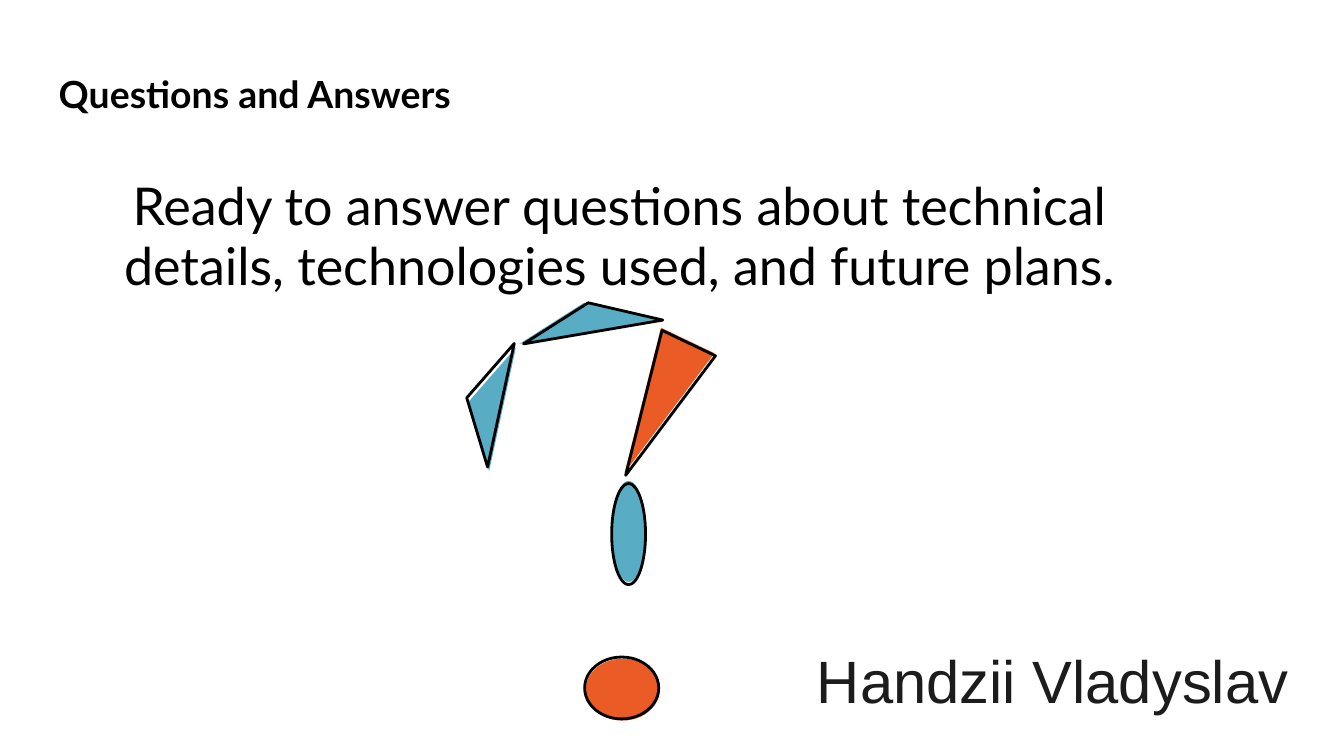
from pptx import Presentation
from pptx import util as u
from pptx.dml.color import RGBColor
from pptx.enum import shapes, text

BLACK = RGBColor(0x00, 0x00, 0x00)
INK = RGBColor(0x1C, 0x1C, 0x1C)
ORANGE = RGBColor(0xEA, 0x5B, 0x25)
TEAL = RGBColor(0x58, 0xAD, 0xC5)
OVAL = shapes.MSO_SHAPE.OVAL
TRIANGLE = shapes.MSO_SHAPE.ISOSCELES_TRIANGLE


def write(sp, words, left, top, width, height, size, inset=0.25, font="Lato",
          color=BLACK, bold=False, align=text.PP_ALIGN.LEFT,
          anchor=text.MSO_ANCHOR.TOP, spacing=1.0, before=0):
    """Place a text shape and fill it with one formatted paragraph."""
    sp.left, sp.top, sp.width, sp.height = map(u.Cm, (left, top, width, height))
    tf = sp.text_frame
    tf.word_wrap = True
    tf.auto_size = text.MSO_AUTO_SIZE.NONE
    tf.vertical_anchor = anchor
    tf.margin_left = tf.margin_right = u.Cm(0.25)
    tf.margin_top = tf.margin_bottom = u.Cm(inset)
    p = tf.paragraphs[0]
    p.alignment, p.line_spacing = align, spacing
    p.space_before, p.space_after = u.Pt(before), u.Pt(0)
    r = p.add_run()
    r.text = words
    r.font.name, r.font.size, r.font.bold = font, u.Pt(size), bold
    r.font.color.rgb = color
    return p


prs = Presentation()
prs.slide_width, prs.slide_height = u.Cm(25.4), u.Cm(14.29)
s = prs.slides.add_slide(prs.slide_layouts[1])

# Title
write(s.shapes.title, "Questions and Answers", 0.86, 0.97, 22.63, 1.6, 20,
      bold=True, anchor=text.MSO_ANCHOR.MIDDLE)

# Body, without a bullet
p = write(s.placeholders[1],
          "Ready to answer questions about technical details, "
          "technologies used, and future plans.",
          0.76, 3.12, 21.59, 2.79, 27.9,
          align=text.PP_ALIGN.CENTER, spacing=0.95)
pPr = p._p.get_or_add_pPr()
pPr.set("marL", str(u.Cm(0.3)))
pPr.set("indent", "0")
pPr.insert_element_before(pPr.makeelement(
    "{http://schemas.openxmlformats.org/drawingml/2006/main}buNone"),
    "a:tabLst", "a:defRPr", "a:extLst")

# Question mark: each stroke is a colour patch under a slightly shifted outline
strokes = [
    # preset, colour, size, rotation, patch position, outline position
    (OVAL, ORANGE, (1.4, 1.17), 0, (11.07, 12.45), (11.05, 12.42)),
    (OVAL, TEAL, (0.64, 1.91), 180, (11.56, 9.09), (11.56, 9.14)),
    (TRIANGLE, ORANGE, (1.12, 2.77), 205.5, (11.84, 6.3), (11.86, 6.35)),
    (TRIANGLE, TEAL, (2.39, 0.66), 282.2, (7.98, 7.34), (7.95, 7.26)),
    (TRIANGLE, TEAL, (2.67, 0.56), 350.3, (9.75, 5.72), (9.83, 5.72)),
]
for preset, color, size, rotation, patch_at, outline_at in strokes:
    group = s.shapes.add_group_shape()
    patch, outline = [group.shapes.add_shape(preset, *map(u.Cm, at + size))
                      for at in (patch_at, outline_at)]
    for sp in (patch, outline):
        sp.rotation = rotation
        sp.shadow.inherit = False
    patch.fill.solid()
    patch.fill.fore_color.rgb = color
    patch.line.fill.background()
    outline.fill.background()
    outline.line.color.rgb = BLACK
    outline.line.width = u.Pt(1.5)

# Presenter
write(s.shapes.add_textbox(0, 0, 0, 0), "Handzii Vladyslav",
      15.19, 11.84, 9.63, 1.7, 32, inset=0.13, font="Arial", color=INK,
      spacing=1.15, before=10)

prs.save("out.pptx")
